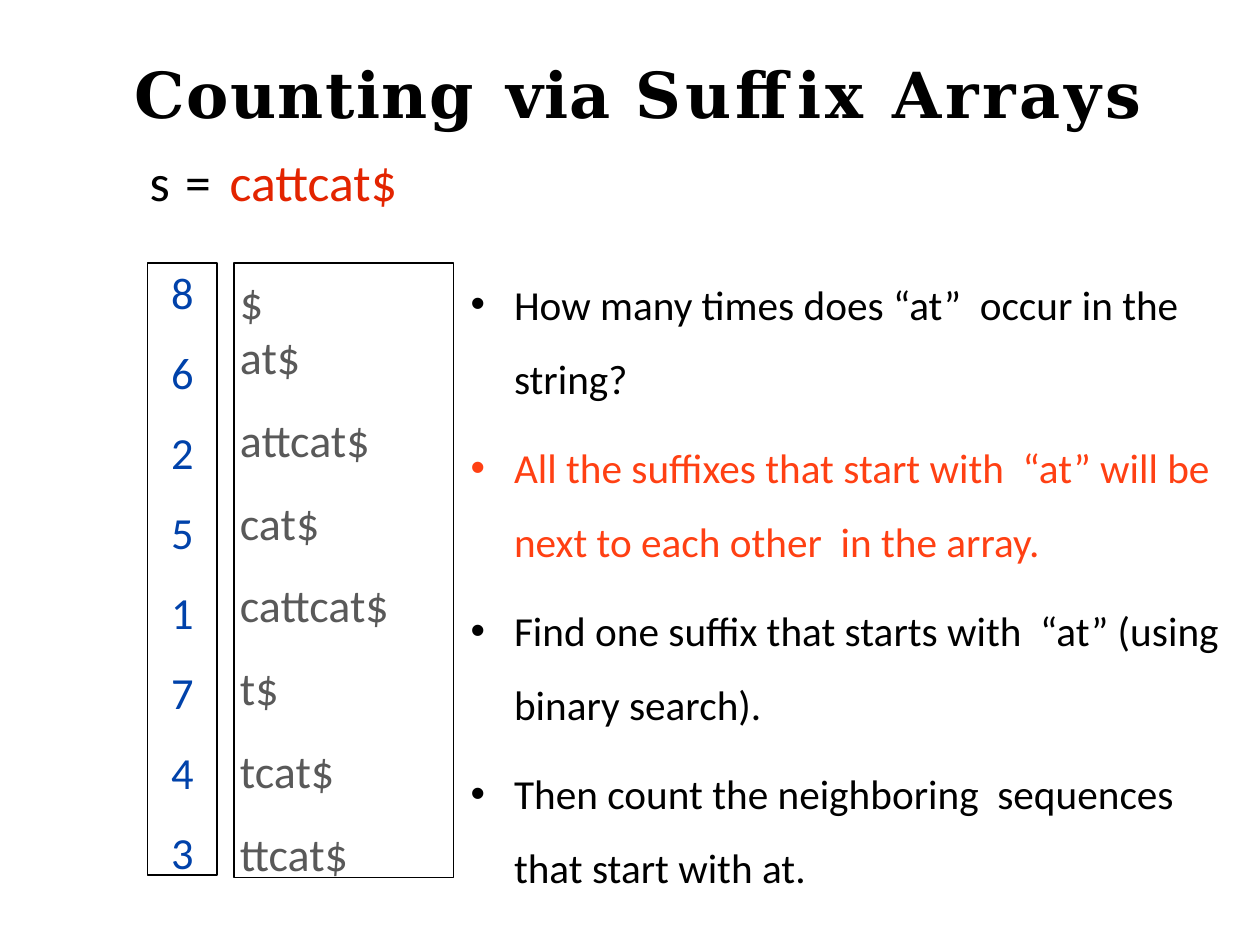
from lxml.etree import SubElement as Sub
from pptx import Presentation
from pptx.dml.color import RGBColor
from pptx.enum.shapes import MSO_SHAPE as Shape
from pptx.enum.text import MSO_ANCHOR as Anchor, MSO_AUTO_SIZE as Auto, PP_ALIGN as Align
from pptx.oxml.ns import qn
from pptx.util import Pt

BLACK = RGBColor(0x00, 0x00, 0x00)
GREY = RGBColor(0x59, 0x59, 0x59)
BLUE = RGBColor(0x00, 0x42, 0xAA)
RED = RGBColor(0xE3, 0x24, 0x00)
CORAL = RGBColor(0xFF, 0x40, 0x13)


def setup(shape, place, inset):
    """Place a shape and return its text frame, top-anchored with only a top inset."""
    shape.left, shape.top, shape.width, shape.height = map(Pt, place)
    frame = shape.text_frame
    frame.word_wrap = True
    frame.auto_size = Auto.NONE
    frame.vertical_anchor = Anchor.TOP
    frame.margin_left = frame.margin_right = frame.margin_bottom = 0
    frame.margin_top = Pt(inset)
    return frame


def write(frame, text, new=True, size=26, color=BLACK, face="Calibri", bold=False,
          track=0, align=Align.LEFT, lines=1.0, before=0, left=0, hang=0, tabs=()):
    """Add a run, in a fresh paragraph if new; track is the letter spacing."""
    para = frame.paragraphs[-1]
    if new:
        if para.runs:
            para = frame.add_paragraph()
        props = para._p.get_or_add_pPr()
        if left:
            props.set("marL", str(Pt(left)))
        # An explicit indent would cancel the tab stops
        if hang:
            props.set("indent", str(Pt(-hang)))
            Sub(props, qn("a:buFont"), typeface="Arial")
            Sub(props, qn("a:buChar"), char="•")
        if tabs:
            stops = Sub(props, qn("a:tabLst"))
            for stop in tabs:
                Sub(stops, qn("a:tab"), pos=str(Pt(stop)), algn="l")
        para.alignment = align
        para.line_spacing = lines
        para.space_before = Pt(before)
    run = para.add_run()
    run.text = text
    font = run.font
    font.name, font.size, font.bold = face, Pt(size), bold
    font.color.rgb = color
    if track:
        run._r.get_or_add_rPr().set("spc", str(round(track * 100)))


deck = Presentation()
deck.slide_width, deck.slide_height = Pt(794), Pt(595.5)
slide = deck.slides.add_slide(deck.slide_layouts[1])
shapes = slide.shapes
title, body = slide.placeholders

head = setup(title, (62.6, 33.8, 678.2, 49), 0.7)
look = dict(size=40, face="DejaVu Serif", bold=True)
write(head, "Counting\t", track=1, align=Align.CENTER, left=0.7, tabs=[234.5], **look)
write(head, "via ", new=False, track=0.8, **look)
write(head, "Suffix Arrays", new=False, track=2.4, **look)

points = [
    ("How many times does “at”  occur in the string?", BLACK),
    ("All the suffixes that start with  “at” will be next to each other  in the array.", CORAL),
    ("Find one suffix that starts with  “at” (using binary search).", BLACK),
    ("Then count the neighboring  sequences that start with at.", BLACK),
]
notes = setup(body, (295.9, 157.7, 486, 402.5), 2.4)
for i, (text, color) in enumerate(points):
    write(notes, text, color=color, lines=1.5, before=9.3 if i else 0, left=28, hang=27.4)

word = setup(shapes.add_textbox(0, 0, 0, 0), (93.6, 93.6, 170, 40.3), 0.7)
write(word, "s\t=\t", size=32.6, left=0.7, tabs=[22.3, 50.4])
write(word, "cattcat$", new=False, size=32.6, color=RED)

ranks = ["8", "6", "2", "5", "1", "7", "4", "3"]
tails = ["$", "at$", "attcat$", "cat$", "cattcat$", "t$", "tcat$", "ttcat$"]
columns = [
    (tails, (147.6, 165.6, 138.2, 387.4), 6.5, 2,
     dict(size=29, color=GREY, left=3.6)),
    (ranks, (92.9, 165.6, 43.9, 385.9), 1.4, 1,
     dict(size=28, color=BLUE, align=Align.CENTER)),
]
for items, place, inset, tight, look in columns:
    box = shapes.add_shape(Shape.RECTANGLE, 0, 0, 0, 0)
    box.shadow.inherit = False
    box.fill.background()
    box.line.color.rgb = BLACK
    box.line.width = Pt(1)
    frame = setup(box, place, inset)
    for i, item in enumerate(items):
        write(frame, item, lines=1.0 if i < tight else 1.5, **look)

deck.save("out.pptx")
